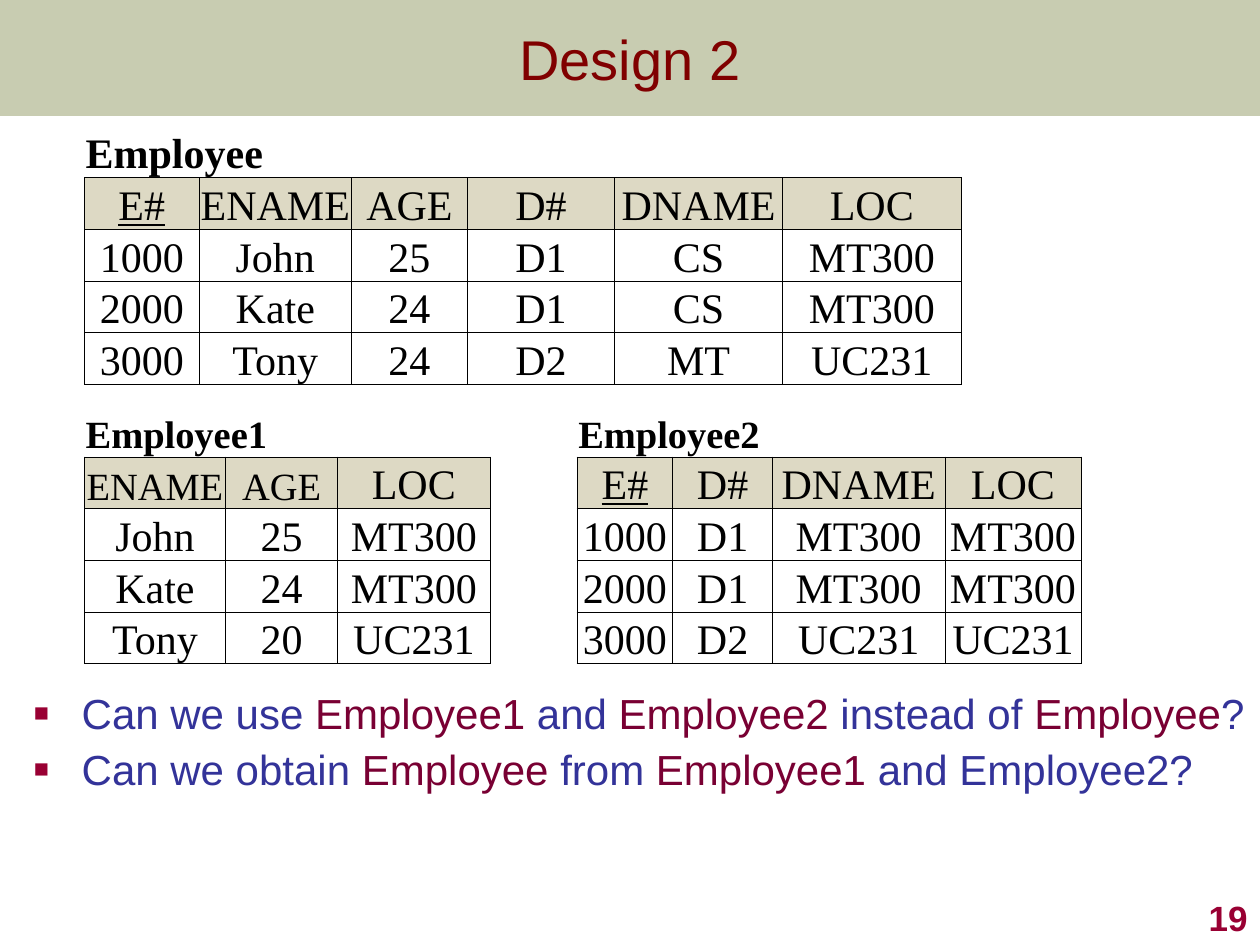
from dataclasses import dataclass

from lxml.etree import SubElement
from pptx import Presentation
from pptx.dml.color import RGBColor as Rgb
from pptx.enum.shapes import MSO_SHAPE as Shape
from pptx.enum.text import MSO_ANCHOR as Anchor, PP_ALIGN as Align
from pptx.oxml.ns import qn
from pptx.util import Inches, Pt


@dataclass(frozen=True)
class Theme:
    sans: str = "Arial"
    serif: str = "Times New Roman"
    band: str = "677228"
    band_alpha: int = 36
    title: str = "800000"
    number: str = "990033"
    question: str = "333399"
    relation: str = "790033"
    ink: str = "000000"
    paper: str = "FFFFFF"
    heading: str = "DDD9C4"
    title_size: int = 32
    body_size: int = 24
    small_size: int = 22
    number_size: int = 20
    rule_width: float = 0.5


@dataclass(frozen=True)
class Relation:
    name: str
    left: float
    top: float
    widths: tuple
    rows: tuple
    name_size: int = 22
    key: str = "E#"
    small_fields: tuple = ()


THEME = Theme()
COLUMNS, ROWS = 100, 75
ROW_HEIGHT = 3.6

RELATIONS = (
    Relation("Employee1", 6.7, 32.5, (11.2, 8.9, 12.1),
             (("ENAME", "AGE", "LOC"),
              ("John", "25", "MT300"),
              ("Kate", "24", "MT300"),
              ("Tony", "20", "UC231")),
             small_fields=("ENAME", "AGE")),
    Relation("Employee2", 45.8, 32.5, (7.6, 7.9, 13.7, 10.8),
             (("E#", "D#", "DNAME", "LOC"),
              ("1000", "D1", "MT300", "MT300"),
              ("2000", "D1", "MT300", "MT300"),
              ("3000", "D2", "UC231", "UC231"))),
    Relation("Employee", 6.7, 10, (9.1, 12.1, 9.2, 11.7, 13.3, 14.2),
             (("E#", "ENAME", "AGE", "D#", "DNAME", "LOC"),
              ("1000", "John", "25", "D1", "CS", "MT300"),
              ("2000", "Kate", "24", "D1", "CS", "MT300"),
              ("3000", "Tony", "24", "D2", "MT", "UC231")),
             name_size=24),
)

QUESTIONS = (
    (("Can we use ", False), ("Employee1", True), (" and ", False),
     ("Employee2 ", True), ("instead of ", False), ("Employee", True),
     ("?", False)),
    (("Can we obtain ", False), ("Employee", True), (" from ", False),
     ("Employee1", True), (" and Employee2?", False)),
)


def grid(*steps):
    return [Inches(step / 10) for step in steps]


def add_run(paragraph, text, size, color, face=THEME.sans, bold=False, underline=False):
    run = paragraph.add_run()
    run.text = text
    font = run.font
    font.name, font.size = face, Pt(size)
    font.bold, font.underline = bold, underline
    font.color.rgb = Rgb.from_string(color)


def add_band(slide, height):
    band = slide.shapes.add_shape(Shape.RECTANGLE, *grid(0, 0, COLUMNS, height))
    band.shadow.inherit = False
    band.line.fill.background()
    band.fill.solid()
    band.fill.fore_color.rgb = Rgb.from_string(THEME.band)
    tint = band.fill._xPr.find(".//" + qn("a:srgbClr"))
    SubElement(tint, qn("a:alpha"), val=str(THEME.band_alpha * 1000))


def add_text_frame(slide, area, anchor):
    frame = slide.shapes.add_textbox(*grid(*area)).text_frame
    frame.word_wrap = True
    frame.vertical_anchor = anchor
    return frame


def add_label(slide, area, text, size, color, align, anchor, bold=False):
    line = add_text_frame(slide, area, anchor).paragraphs[0]
    line.alignment = align
    add_run(line, text, size, color, bold=bold)


def add_bullet(paragraph):
    props = paragraph._p.get_or_add_pPr()
    indent = Inches(0.38)
    props.set("marL", str(indent))
    props.set("indent", str(-indent))
    SubElement(SubElement(props, qn("a:buClr")), qn("a:srgbClr"), val=THEME.number)
    SubElement(props, qn("a:buSzPct"), val="60000")
    SubElement(props, qn("a:buFont"), typeface=THEME.sans)
    SubElement(props, qn("a:buChar"), char="■")


def add_questions(slide, area):
    frame = add_text_frame(slide, area, Anchor.TOP)
    frame.margin_right = 0
    for index, question in enumerate(QUESTIONS):
        line = frame.add_paragraph() if index else frame.paragraphs[0]
        add_bullet(line)
        line.line_spacing = 0.9
        if index:
            line.space_before = Pt(6)
        for text, is_relation in question:
            color = THEME.relation if is_relation else THEME.question
            add_run(line, text, THEME.body_size, color)


def set_borders(cell, ruled_sides):
    props = cell._tc.get_or_add_tcPr()
    for side in "LRTB":
        rule = SubElement(props, qn(f"a:ln{side}"), w=str(Pt(THEME.rule_width)))
        if side in ruled_sides:
            SubElement(SubElement(rule, qn("a:solidFill")), qn("a:srgbClr"), val=THEME.ink)
        else:
            SubElement(rule, qn("a:noFill"))


def style_cell(cell, ruled_sides, fill):
    set_borders(cell, ruled_sides)
    cell.fill.solid()
    cell.fill.fore_color.rgb = Rgb.from_string(fill)
    cell.vertical_anchor = Anchor.BOTTOM
    cell.margin_left = cell.margin_right = cell.margin_top = Inches(0.01)
    cell.margin_bottom = 0


def add_relation(slide, relation):
    count = len(relation.rows) + 1
    area = grid(relation.left, relation.top, sum(relation.widths), ROW_HEIGHT * count)
    table = slide.shapes.add_table(count, len(relation.widths), *area).table
    table.first_row = table.horz_banding = False
    for column, width in zip(table.columns, grid(*relation.widths)):
        column.width = width
    for row in table.rows:
        row.height = grid(ROW_HEIGHT)[0]

    for column in range(len(relation.widths)):
        style_cell(table.cell(0, column), "B", THEME.paper)
    caption = table.cell(0, 0)
    caption.merge(table.cell(0, len(relation.widths) - 1))
    add_run(caption.text_frame.paragraphs[0], relation.name, relation.name_size,
            THEME.ink, THEME.serif, bold=True)

    for row, values in enumerate(relation.rows, start=1):
        for column, value in enumerate(values):
            cell = table.cell(row, column)
            style_cell(cell, "LRTB", THEME.heading if row == 1 else THEME.paper)
            line = cell.text_frame.paragraphs[0]
            line.alignment = Align.CENTER
            size = THEME.small_size if value in relation.small_fields else THEME.body_size
            add_run(line, value, size, THEME.ink, THEME.serif,
                    underline=value == relation.key)


def main():
    deck = Presentation()
    deck.slide_width, deck.slide_height = grid(COLUMNS, ROWS)
    slide = deck.slides.add_slide(deck.slide_layouts[6])
    band_height = 9.2
    add_band(slide, band_height)
    add_label(slide, (0, 0, COLUMNS, band_height), "Design 2", THEME.title_size,
              THEME.title, Align.CENTER, Anchor.MIDDLE)
    add_label(slide, (79.2, 70, 20.8, 5), "19", THEME.number_size,
              THEME.number, Align.RIGHT, Anchor.BOTTOM, bold=True)
    add_questions(slide, (1.7, 54.5, 97.5, 14.2))
    for relation in RELATIONS:
        add_relation(slide, relation)
    deck.save("out.pptx")


if __name__ == "__main__":
    main()
